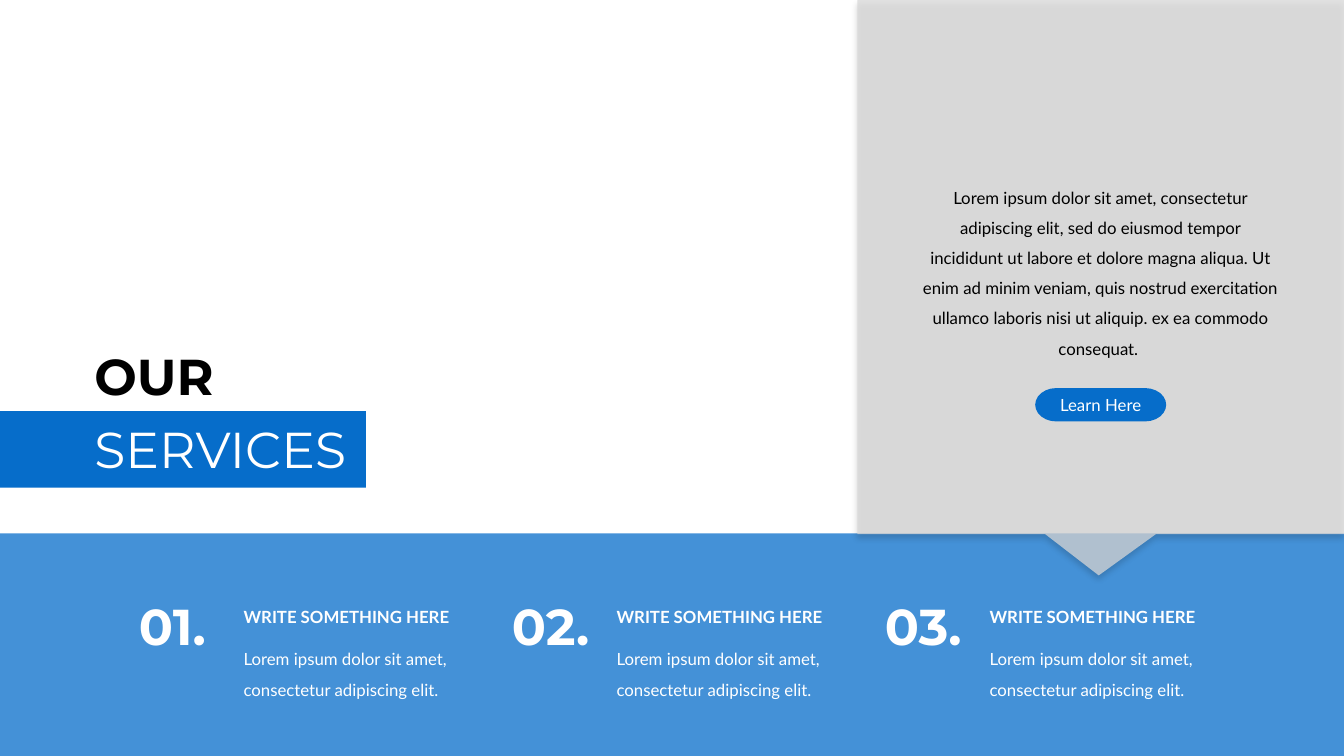
"""Build a services slide with a title, a callout panel and three numbered items."""
from lxml import etree
from pptx import Presentation
from pptx import util as u
from pptx.dml.color import RGBColor
from pptx.enum import shapes, text
from pptx.oxml import ns

BLUE, GREY, WHITE, BLACK = "066DCA", "D8D8D8", "FFFFFF", "000000"
WIDTH, HEIGHT = 33.87, 19.05
BAND_TOP = 13.44
INTRO = (
    "Lorem ipsum dolor sit amet, consectetur adipiscing elit, sed do eiusmod tempor "
    "incididunt ut labore et dolore magna aliqua. Ut enim ad minim veniam, quis nostrud "
    "exercitation ullamco laboris nisi ut aliquip. ex ea commodo consequat. "
)
ITEM_TEXT = "Lorem ipsum dolor sit amet, consectetur adipiscing elit."


def color(value):
    return RGBColor.from_string(value)


def add_child(parent, tag, **attributes):
    return etree.SubElement(parent, ns.qn(tag), attributes)


def write(box, words, font="Lato", size=12, fill=BLACK, bold=False, align=None, spacing=None):
    para = box.text_frame.paragraphs[0]
    para.alignment = align
    para.line_spacing = spacing
    span = para.add_run()
    span.text = words
    span.font.name = font
    span.font.size = u.Pt(size)
    span.font.bold = bold
    span.font.color.rgb = color(fill)


class Slide:
    def __init__(self, deck):
        self.page = deck.slides.add_slide(deck.slide_layouts[6])
        self.heading = {"font": "Montserrat", "size": 36}
        self.body = {"spacing": 1.5}

    def paint(self, box, fill, alpha=None):
        box.shadow.inherit = False
        box.fill.solid()
        box.fill.fore_color.rgb = color(fill)
        box.line.fill.background()
        if alpha:
            tint = box._element.spPr.find(".//" + ns.qn("a:srgbClr"))
            add_child(tint, "a:alpha", val=str(alpha * 1000))
        return box

    def shape(self, kind, left, top, width, height, fill, alpha=None):
        box = self.page.shapes.add_shape(kind, *map(u.Cm, (left, top, width, height)))
        return self.paint(box, fill, alpha)

    def outline(self, points, fill, alpha):
        corners = [(u.Cm(x), u.Cm(y)) for x, y in points]
        builder = self.page.shapes.build_freeform(*corners[0])
        builder.add_line_segments(corners[1:], close=True)
        return self.paint(builder.convert_to_shape(), fill, alpha)

    def cast_shadow(self, box):
        effects = box._element.spPr.find(ns.qn("a:effectLst"))
        shadow = add_child(effects, "a:outerShdw", blurRad=str(u.Pt(4)), dist=str(u.Pt(3)),
                           dir="5400000", algn="t", rotWithShape="0")
        tint = add_child(shadow, "a:srgbClr", val=BLACK)
        add_child(tint, "a:alpha", val="20000")

    def label(self, words, left, top, width, height, **style):
        box = self.page.shapes.add_textbox(*map(u.Cm, (left, top, width, height)))
        box.text_frame.word_wrap = True
        box.text_frame.auto_size = text.MSO_AUTO_SIZE.SHAPE_TO_FIT_TEXT
        write(box, words, **style)

    def button(self, words, left, top, width, height):
        kind = shapes.MSO_SHAPE.FLOWCHART_TERMINATOR
        box = self.shape(kind, left, top, width, height, BLUE)
        box.text_frame.vertical_anchor = text.MSO_ANCHOR.MIDDLE
        write(box, words, fill=WHITE, align=text.PP_ALIGN.CENTER)

    def item(self, number, left):
        text_left = left + 2.64
        self.label(f"{number:02}.", left, 14.88, 2.64, 1.8, fill=WHITE, bold=True, **self.heading)
        self.label(ITEM_TEXT, text_left, 15.98, 5.94, 1.7, fill=WHITE, **self.body)
        self.label("WRITE SOMETHING HERE", text_left, 14.91, 5.94, 0.91,
                   fill=WHITE, bold=True, **self.body)


def main():
    deck = Presentation()
    deck.slide_width, deck.slide_height = u.Cm(WIDTH), u.Cm(HEIGHT)
    slide = Slide(deck)
    rectangle = shapes.MSO_SHAPE.RECTANGLE

    slide.shape(rectangle, 0, BAND_TOP, WIDTH, HEIGHT - BAND_TOP, BLUE, alpha=75)
    slide.shape(rectangle, 0, 10.36, 9.22, 1.93, BLUE)
    slide.label("OUR", 2.13, 8.56, 8.03, 1.8, bold=True, **slide.heading)
    slide.label("SERVICES", 2.13, 10.41, 8.03, 1.8, fill=WHITE, **slide.heading)

    panel_left, panel_bottom = 21.61, 13.46
    panel = slide.outline(
        [(panel_left, 0), (WIDTH, 0), (WIDTH, panel_bottom), (29.13, panel_bottom),
         (27.69, 14.5), (26.34, panel_bottom), (panel_left, panel_bottom)], GREY, alpha=75)
    slide.cast_shadow(panel)
    slide.label(INTRO, 23.01, 4.34, 9.45, 4.78, align=text.PP_ALIGN.CENTER, **slide.body)
    slide.button("Learn Here", 26.09, 9.78, 3.3, 0.84)

    for index in range(3):
        slide.item(index + 1, 3.25 + 9.4 * index)

    deck.save("out.pptx")


if __name__ == "__main__":
    main()
